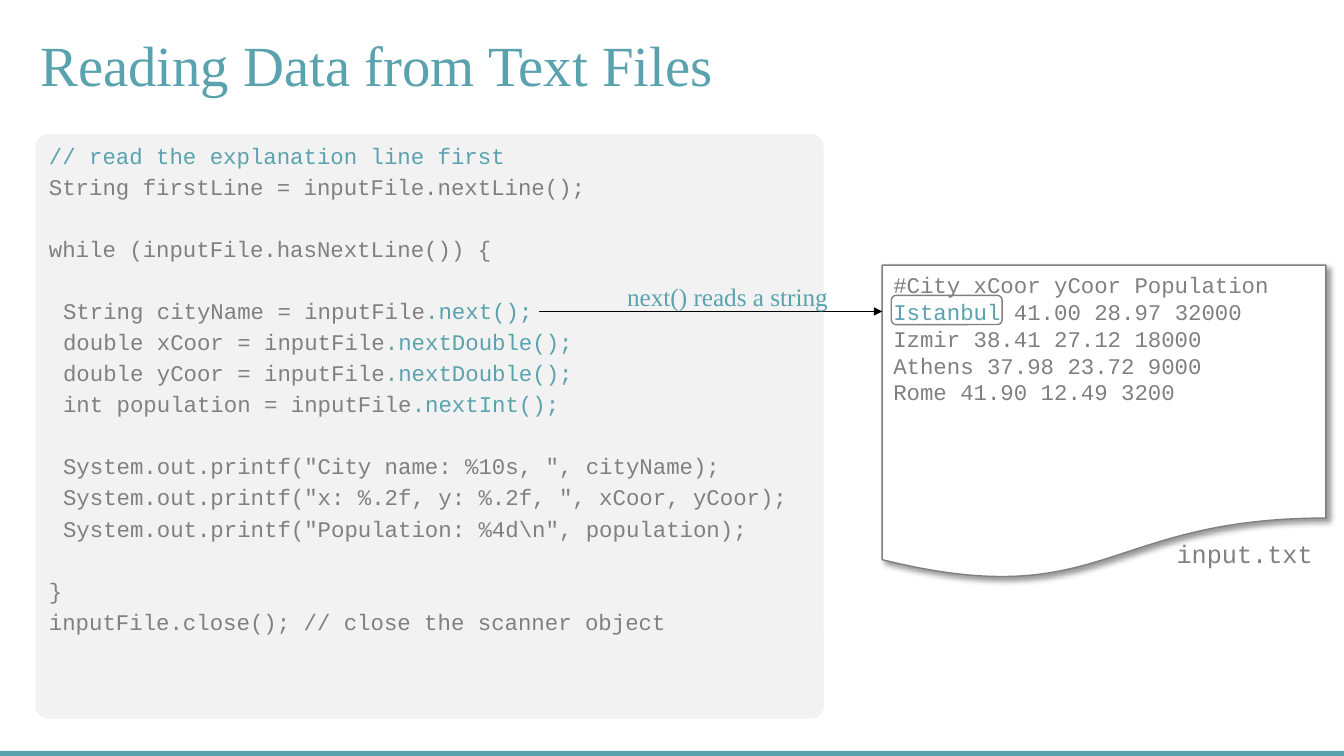
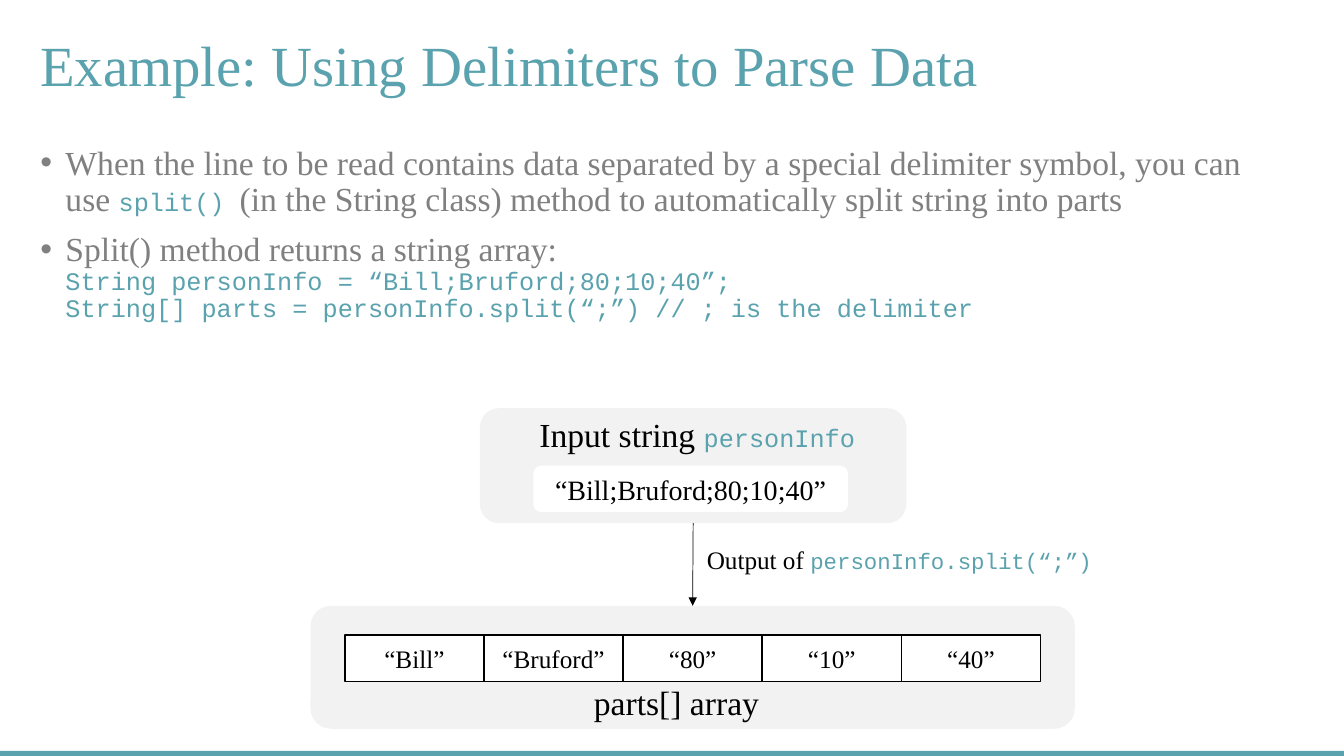
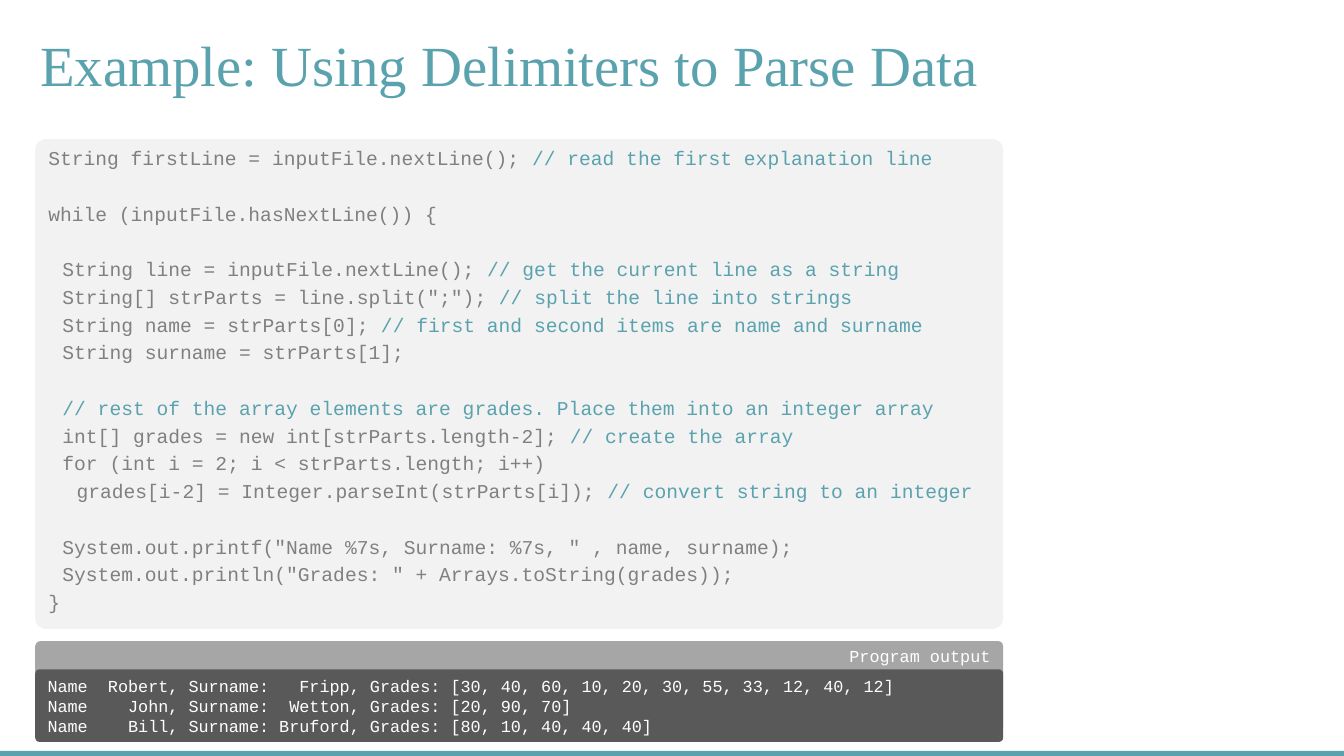
from typing import Any, NamedTuple, Optional

from pptx import Presentation
from pptx.dml.color import RGBColor
from pptx.enum.shapes import MSO_CONNECTOR, MSO_SHAPE
from pptx.enum.text import MSO_ANCHOR, MSO_AUTO_SIZE, PP_ALIGN
from pptx.oxml import parse_xml
from pptx.oxml.ns import nsdecls, qn
from pptx.util import Inches, Pt

TEAL = RGBColor(0x5A, 0xA2, 0xAE)
GRAY = RGBColor(0x80, 0x80, 0x80)
PALE = RGBColor(0xF2, 0xF2, 0xF2)
SILVER = RGBColor(0xA6, 0xA6, 0xA6)
DARK = RGBColor(0x59, 0x59, 0x59)
BLACK = RGBColor(0, 0, 0)
WHITE = RGBColor(0xFF, 0xFF, 0xFF)
SERIF, MONO = "Times New Roman", "Courier New"

CODE_GAP = 3
LINE_FACTOR = 1.2
TAB_WIDTH = 0.14
PAD = 0.05


class Style(NamedTuple):
    font: str
    size: float
    color: RGBColor


class Span(NamedTuple):
    text: str
    style: Style


class Line(NamedTuple):
    """One code line: plain text, then accented text; both empty for a blank line."""
    plain: str = ""
    accent: str = ""


class Box(NamedTuple):
    left: float
    top: float
    width: float
    height: float


class Record(NamedTuple):
    name: str
    surname: str
    grades: list[int]


TITLE = Style(SERIF, 40.5, TEAL)
BODY = Style(SERIF, 24, GRAY)
HEADING = Style(SERIF, 24, BLACK)
CAPTION = Style(SERIF, 18, BLACK)
NOTE = Style(SERIF, 18, TEAL)
INLINE_CODE = Style(MONO, 18, TEAL)
FILE_TEXT = Style(MONO, 16, GRAY)
CONSOLE = Style(MONO, 12, WHITE)

READ_CODE = [
    Line("", "// read the explanation line first"),
    Line("String firstLine = inputFile.nextLine();"),
    Line(),
    Line("while (inputFile.hasNextLine()) {"),
    Line(),
    Line("\tString cityName = inputFile", ".next();"),
    Line("\tdouble xCoor = inputFile", ".nextDouble();"),
    Line("\tdouble yCoor = inputFile", ".nextDouble();"),
    Line("\tint population = inputFile", ".nextInt();"),
    Line(),
    Line('\tSystem.out.printf("City name: %10s, ", cityName);'),
    Line('\tSystem.out.printf("x: %.2f, y: %.2f, ", xCoor, yCoor);'),
    Line('\tSystem.out.printf("Population: %4d\\n", population);'),
    Line(),
    Line("}"),
    Line("inputFile.close(); // close the scanner object"),
]

SPLIT_CODE = [
    Line("String firstLine = inputFile.nextLine(); ", "// read the first explanation line"),
    Line(),
    Line("while (inputFile.hasNextLine()) {"),
    Line(),
    Line("\tString line = inputFile.nextLine(); ", "// get the current line as a string"),
    Line('\tString[] strParts = line.split(";"); ', "// split the line into strings"),
    Line("\tString name = strParts[0]; ", "// first and second items are name and surname"),
    Line("\tString surname = strParts[1];"),
    Line(),
    Line("\t", "// rest of the array elements are grades. Place them into an integer array"),
    Line("\tint[] grades = new int[strParts.length-2]; ", "// create the array"),
    Line("\tfor (int i = 2; i < strParts.length; i++)"),
    Line("\t\tgrades[i-2] = Integer.parseInt(strParts[i]); ", "// convert string to an integer"),
    Line(),
    Line('\tSystem.out.printf("Name %7s, Surname: %7s, " , name, surname);'),
    Line('\tSystem.out.println("Grades: " + Arrays.toString(grades));'),
    Line("}"),
]

FILE_LINES = [
    [Span("#City xCoor yCoor Population", FILE_TEXT)],
    [Span("Istanbul", FILE_TEXT._replace(color=TEAL)), Span(" 41.00 28.97 32000", FILE_TEXT)],
    [Span("Izmir 38.41 27.12 18000", FILE_TEXT)],
    [Span("Athens 37.98 23.72 9000", FILE_TEXT)],
    [Span("Rome 41.90 12.49 3200", FILE_TEXT)],
]

BULLETS = [
    [Span("When the line to be read contains data separated by a special delimiter symbol, "
          "you can use ", BODY),
     Span("split() ", INLINE_CODE),
     Span("(in the String class) method to automatically split string into parts", BODY)],
    [Span("Split() method returns a string array:\n", BODY),
     Span("String personInfo = “Bill;Bruford;80;10;40”;\n"
          "String[] parts = personInfo.split(“;”) // ; is the delimiter", INLINE_CODE)],
]

PARTS = ["“Bill”", "“Bruford”", "“80”", "“10”", "“40”"]

RECORDS = [
    Record("Robert", "Fripp", [30, 40, 60, 10, 20, 30, 55, 33, 12, 40, 12]),
    Record("John", "Wetton", [20, 90, 70]),
    Record("Bill", "Bruford", [80, 10, 40, 40, 40]),
]


def set_attrs(obj: Any, values: dict[str, Any]) -> None:
    for name, value in values.items():
        setattr(obj, name, value)


def place(box: Box) -> tuple:
    return tuple(Inches(v) for v in box)


def format_frame(tf, anchor=MSO_ANCHOR.TOP, wrap: bool = True,
                 pad_x: float = PAD, pad_y: float = PAD) -> None:
    set_attrs(tf, {
        "auto_size": MSO_AUTO_SIZE.NONE, "word_wrap": wrap, "vertical_anchor": anchor,
        "margin_left": Inches(pad_x), "margin_right": Inches(pad_x),
        "margin_top": Inches(pad_y), "margin_bottom": Inches(pad_y),
    })


def add_spans(p, spans: list[Span]) -> None:
    for text, style in spans:
        for i, piece in enumerate(text.split("\n")):
            if i:
                p.add_line_break()
            if piece:
                r = p.add_run()
                r.text = piece
                set_attrs(r.font, {"name": style.font, "size": Pt(style.size)})
                r.font.color.rgb = style.color


def next_paragraph(tf, first: bool):
    return tf.paragraphs[0] if first else tf.add_paragraph()


def write(tf, paragraphs: list[list[Span]], align=PP_ALIGN.LEFT) -> None:
    for i, spans in enumerate(paragraphs):
        p = next_paragraph(tf, i == 0)
        p.alignment = align
        add_spans(p, spans)


def add_box(slide, box: Box, fill: Optional[RGBColor] = None, line: Optional[RGBColor] = None,
            kind=MSO_SHAPE.RECTANGLE, radius: Optional[float] = None):
    sp = slide.shapes.add_shape(kind, *place(box))
    sp.shadow.inherit = False
    if radius is not None:
        sp.adjustments[0] = radius
    if fill is None:
        sp.fill.background()
    else:
        sp.fill.solid()
        sp.fill.fore_color.rgb = fill
    if line is None:
        sp.line.fill.background()
    else:
        sp.line.color.rgb = line
        sp.line.width = Pt(1)
    return sp


def add_panel(slide, box: Box, fill: Optional[RGBColor], radius: float = 0.167,
              line: Optional[RGBColor] = None):
    return add_box(slide, box, fill, line, MSO_SHAPE.ROUNDED_RECTANGLE, radius)


def add_label(slide, box: Box, *spans: Span) -> None:
    tf = slide.shapes.add_textbox(*place(box)).text_frame
    format_frame(tf, wrap=False)
    write(tf, [list(spans)])


def add_code(slide, box: Box, lines: list[Line], size: float) -> None:
    """Code panel with tab stops; a blank line becomes space before the next one."""
    tf = add_panel(slide, box, PALE, 0.022).text_frame
    format_frame(tf, pad_x=0.1, pad_y=0.04)
    plain, accent = Style(MONO, size, GRAY), Style(MONO, size, TEAL)
    gap = 0.0
    for i, line in enumerate(lines):
        if not any(line):
            gap += LINE_FACTOR * size + CODE_GAP
            continue
        p = next_paragraph(tf, i == 0)
        stops = "".join(f'<a:tab pos="{Inches(TAB_WIDTH * n)}" algn="l"/>' for n in (1, 2))
        p._p.get_or_add_pPr().append(
            parse_xml(f'<a:tabLst {nsdecls("a")}>{stops}</a:tabLst>'))
        p.alignment = PP_ALIGN.LEFT
        p.space_before = Pt(gap)
        add_spans(p, [Span(line.plain, plain), Span(line.accent, accent)])
        gap = CODE_GAP


def add_arrow(slide, start: tuple[float, float], end: tuple[float, float]):
    cn = slide.shapes.add_connector(MSO_CONNECTOR.STRAIGHT,
                                    *(Inches(v) for v in start + end))
    cn.line.color.rgb = BLACK
    cn.line.width = Pt(0.5)
    sp_pr = cn.element.spPr
    sp_pr.find(qn("a:ln")).append(parse_xml(f'<a:tailEnd {nsdecls("a")} type="triangle"/>'))
    sp_pr.append(parse_xml(f'<a:effectLst {nsdecls("a")}/>'))
    return cn


def add_shadow(sp) -> None:
    sp_pr = sp.element.spPr
    sp_pr.find(qn("a:effectLst")).append(parse_xml(
        f'<a:outerShdw {nsdecls("a")} blurRad="{Pt(4)}" dist="{Pt(3)}" dir="2700000" '
        'algn="tl" rotWithShape="0"><a:srgbClr val="000000"><a:alpha val="40000"/>'
        '</a:srgbClr></a:outerShdw>'))


def add_slide(prs, title: str):
    slide = prs.slides.add_slide(prs.slide_layouts[5])
    sp = slide.shapes.title
    box = place(Box(0.35, 0.3, 12.44, 0.76))
    set_attrs(sp, dict(zip(("left", "top", "width", "height"), box)))
    format_frame(sp.text_frame, MSO_ANCHOR.MIDDLE)
    write(sp.text_frame, [[Span(title, TITLE)]])
    sp.text_frame.paragraphs[0].line_spacing = 0.9
    return slide


def move_to_layout(slide, sp) -> None:
    slide.slide_layout.shapes.element.append(sp.element)


def build_reading(prs) -> None:
    slide = add_slide(prs, "Reading Data from Text Files")
    move_to_layout(slide, add_box(slide, Box(-0.01, 7.45, 13.35, 0.1), TEAL))
    add_code(slide, Box(0.35, 1.33, 7.82, 5.8), READ_CODE, 16)

    page = add_box(slide, Box(8.75, 2.63, 4.4, 3.13), WHITE, GRAY,
                   MSO_SHAPE.FLOWCHART_DOCUMENT)
    add_shadow(page)
    format_frame(page.text_frame, pad_x=0.11, pad_y=0.06)
    write(page.text_frame, FILE_LINES)
    add_label(slide, Box(11.62, 5.29, 1.47, 0.39), Span("input.txt", Style(MONO, 18, GRAY)))
    add_panel(slide, Box(8.84, 2.93, 1.1, 0.29), None, line=GRAY)

    add_arrow(slide, (5.35, 3.09), (8.75, 3.09))
    add_label(slide, Box(6.17, 2.74, 2.11, 0.42), Span("next() reads a string", NOTE))


def add_bullets(slide, box: Box) -> None:
    tf = slide.shapes.add_textbox(*place(box)).text_frame
    format_frame(tf)
    for i, spans in enumerate(BULLETS):
        p = next_paragraph(tf, i == 0)
        p_pr = p._p.get_or_add_pPr()
        p_pr.set("marL", str(Inches(0.25)))
        p_pr.set("indent", str(Inches(-0.25)))
        p_pr.append(parse_xml(f'<a:buFont {nsdecls("a")} typeface="Arial"/>'))
        p_pr.append(parse_xml(f'<a:buChar {nsdecls("a")} char="•"/>'))
        set_attrs(p, {"line_spacing": 0.9, "space_before": Pt(10 if i else 0)})
        add_spans(p, spans)


def add_centred(slide, sp, text: str, style: Style) -> None:
    format_frame(sp.text_frame, MSO_ANCHOR.MIDDLE)
    write(sp.text_frame, [[Span(text, style)]], PP_ALIGN.CENTER)


def build_delimiters(prs) -> None:
    slide = add_slide(prs, "Example: Using Delimiters to Parse Data")
    add_bullets(slide, Box(0.35, 1.4, 12.44, 5.69))

    array = add_panel(slide, Box(3.08, 6.01, 7.58, 1.22), PALE)
    cell_width = 1.38
    for i, part in enumerate(PARTS):
        cell = add_box(slide, Box(3.42 + i * cell_width, 6.3, cell_width, 0.46), WHITE, BLACK)
        add_centred(slide, cell, part, CAPTION)
    add_label(slide, Box(5.84, 6.72, 1.75, 0.5), Span("parts[] array", HEADING))

    source = add_panel(slide, Box(4.76, 4.05, 4.23, 1.14), PALE)
    add_label(slide, Box(5.3, 4.06, 3.4, 0.5),
              Span("Input string ", HEADING), Span("personInfo", INLINE_CODE))
    value = add_panel(slide, Box(5.29, 4.62, 3.12, 0.46), WHITE)
    add_centred(slide, value, "“Bill;Bruford;80;10;40”", Style(SERIF, 20, BLACK))

    arrow = add_arrow(slide, (6.87, 5.19), (6.87, 6.01))
    arrow.begin_connect(source, 2)
    arrow.end_connect(array, 0)
    add_label(slide, Box(6.96, 5.35, 3.95, 0.42), Span("Output of ", CAPTION),
              Span("personInfo.split(“;”)", Style(MONO, 16, TEAL)))


def build_parsing(prs) -> None:
    slide = add_slide(prs, "Example: Using Delimiters to Parse Data")
    add_code(slide, Box(0.35, 1.38, 9.6, 4.86), SPLIT_CODE, 14)

    header = add_panel(slide, Box(0.35, 6.36, 9.6, 0.9), SILVER, 0.057).text_frame
    format_frame(header, pad_x=0.11, pad_y=0.03)
    write(header, [[Span("Program output", CONSOLE)]], PP_ALIGN.RIGHT)

    output = add_panel(slide, Box(0.35, 6.64, 9.6, 0.72), DARK, 0.057).text_frame
    format_frame(output, pad_x=0.11, pad_y=0.05)
    write(output, [[Span(f"Name {r.name:>7}, Surname: {r.surname:>7}, Grades: {r.grades}",
                         CONSOLE)] for r in RECORDS])


def main() -> None:
    prs = Presentation()
    prs.slide_width, prs.slide_height = Inches(13.33), Inches(7.5)
    build_reading(prs)
    build_delimiters(prs)
    build_parsing(prs)
    prs.save("out.pptx")


if __name__ == "__main__":
    main()
